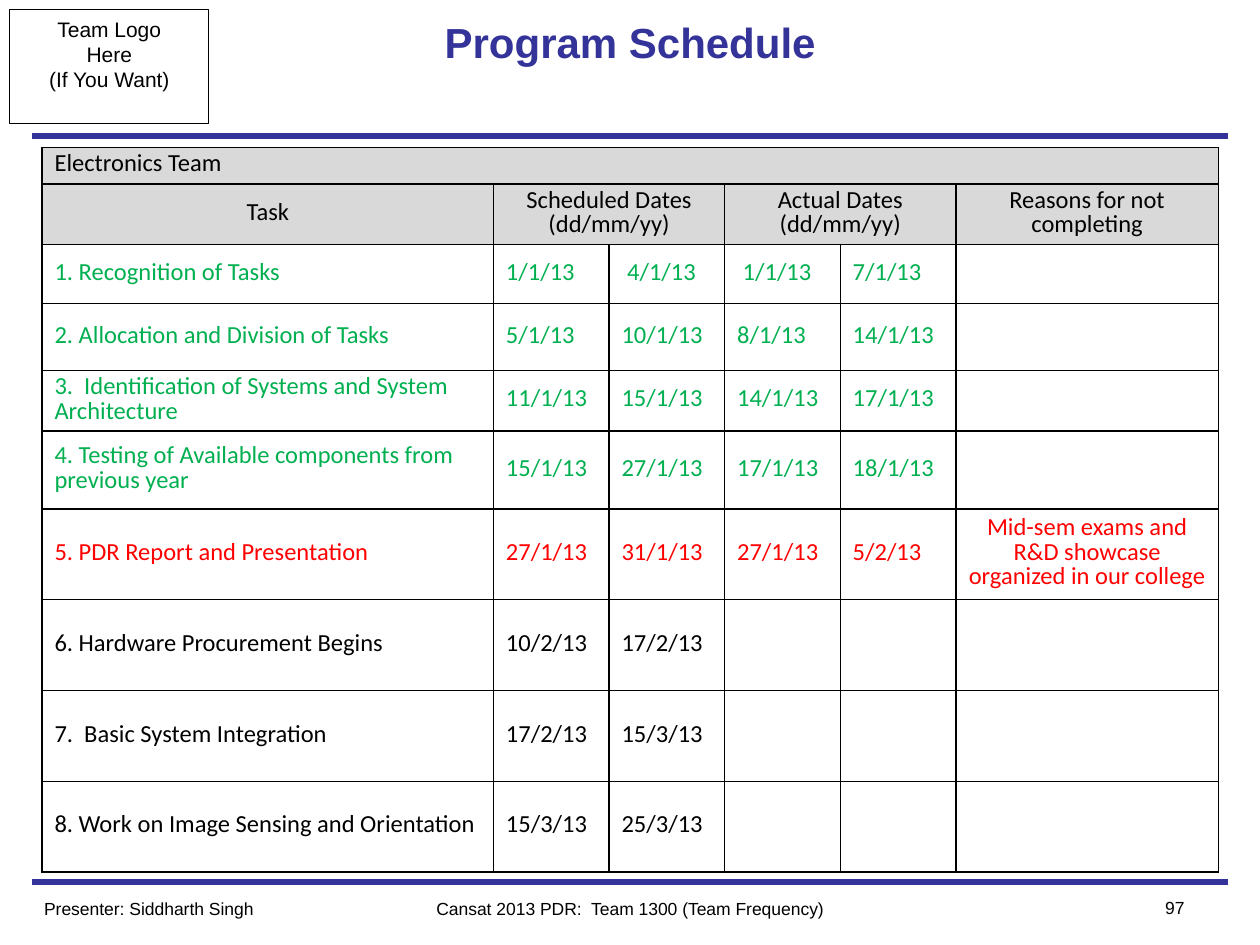
from lxml import etree
from pptx import Presentation
from pptx import util as u
from pptx.dml.color import RGBColor
from pptx.enum import shapes, text
from pptx.oxml import ns

COLORS = {"navy": "333399", "black": "000000", "grey": "D9D9D9",
          "green": "00B050", "red": "FF0000"}
LEFT, CENTER, RIGHT = text.PP_ALIGN.LEFT, text.PP_ALIGN.CENTER, text.PP_ALIGN.RIGHT
COLUMNS = [9.1] + [2.33] * 4 + [5.29]
ROWS = [0.74, 1.22, 1.19, 1.35, 1.22, 1.57] + [1.83] * 4
HEADINGS = [(0, 1, "Task"), (1, 2, "Scheduled Dates\n(dd/mm/yy)"),
            (3, 2, "Actual Dates\n(dd/mm/yy)"), (5, 1, "Reasons for not completing")]
TASKS = [
    ("green", "1. Recognition of Tasks", "1/1/13", " 4/1/13", " 1/1/13", "7/1/13"),
    ("green", "2. Allocation and Division of Tasks", "5/1/13", "10/1/13", "8/1/13", "14/1/13"),
    ("green", "3.  Identification of Systems and System Architecture",
     "11/1/13", "15/1/13", "14/1/13", "17/1/13"),
    ("green", "4. Testing of Available components from previous year",
     "15/1/13", "27/1/13", "17/1/13", "18/1/13"),
    ("red", "5. PDR Report and Presentation", "27/1/13", "31/1/13", "27/1/13", "5/2/13",
     "Mid-sem exams and R&D showcase organized in our college"),
    ("black", "6. Hardware Procurement Begins", "10/2/13", "17/2/13"),
    ("black", "7.  Basic System Integration", "17/2/13", "15/3/13"),
    ("black", "8. Work on Image Sensing and Orientation", "15/3/13", "25/3/13"),
]


def rgb(name):
    return RGBColor.from_string(COLORS[name])


def set_values(target, values):
    for name, value in values.items():
        setattr(target, name, value)


class Deck:
    body = {"name": "Arial", "size": u.Pt(10)}
    logo = {"name": "Arial", "size": u.Pt(12)}
    heading = {"name": "Arial", "size": u.Pt(24), "bold": True}
    grid = {"name": "Calibri", "size": u.Pt(14)}
    cell = {"margin_left": u.Cm(0.25), "margin_right": u.Cm(0.25),
            "margin_top": u.Cm(0.08), "margin_bottom": u.Cm(0.13),
            "vertical_anchor": text.MSO_ANCHOR.MIDDLE}

    def __init__(self):
        self.prs = Presentation()
        set_values(self.prs, {"slide_width": u.Cm(25.4), "slide_height": u.Cm(19.05)})
        self.s = self.prs.slides.add_slide(self.prs.slide_layouts[6])

    def add_lines(self, tf, content, font, color="black", **paragraph):
        for i, line in enumerate(content.split("\n")):
            p = tf.add_paragraph() if i else tf.paragraphs[0]
            set_values(p, paragraph)
            r = p.add_run()
            r.text = line
            set_values(r.font, font)
            r.font.color.rgb = rgb(color)

    def rule(self, y):
        sp = self.s.shapes.add_connector(
            shapes.MSO_CONNECTOR.STRAIGHT, u.Cm(0.64), u.Cm(y), u.Cm(24.76), u.Cm(y))
        sp.line.color.rgb = rgb("navy")
        sp.line.width = u.Pt(3)
        etree.SubElement(sp._element.spPr, ns.qn("a:effectLst"))

    def frame(self, box, content):
        sp = self.s.shapes.add_shape(shapes.MSO_SHAPE.RECTANGLE, *map(u.Cm, box))
        sp.shadow.inherit = False
        sp.fill.background()
        sp.line.color.rgb = rgb("black")
        sp.line.width = u.Pt(0.5)
        tf = sp.text_frame
        set_values(tf, {"word_wrap": False, "vertical_anchor": text.MSO_ANCHOR.TOP})
        self.add_lines(tf, content, self.logo, alignment=CENTER)

    def label(self, box, content, font, color="black", align=LEFT):
        tf = self.s.shapes.add_textbox(*map(u.Cm, box)).text_frame
        tf.word_wrap = True
        self.add_lines(tf, content, font, color, alignment=align)

    def border(self, cell):
        tc_pr = cell._tc.get_or_add_tcPr()
        for side in ("lnL", "lnR", "lnT", "lnB"):
            ln = etree.SubElement(tc_pr, ns.qn(f"a:{side}"), w=str(u.Pt(1)))
            fill = etree.SubElement(ln, ns.qn("a:solidFill"))
            etree.SubElement(fill, ns.qn("a:srgbClr"), val=COLORS["black"])

    def table(self, left, top, columns, rows):
        t = self.s.shapes.add_table(len(rows), len(columns), u.Cm(left), u.Cm(top),
                                    u.Cm(sum(columns)), u.Cm(sum(rows))).table
        set_values(t, {"first_row": False, "horz_banding": False})
        for column, width in zip(t.columns, columns):
            column.width = u.Cm(width)
        for row, height in zip(t.rows, rows):
            row.height = u.Cm(height)
        for cell in t.iter_cells():
            set_values(cell, self.cell)
            self.border(cell)
            cell.fill.background()
        return t

    def fill_cell(self, cell, content, color="black", align=LEFT, shade=None):
        if shade:
            cell.fill.solid()
            cell.fill.fore_color.rgb = rgb(shade)
        self.add_lines(cell.text_frame, content, self.grid, color,
                       alignment=align, line_spacing=0.82)


def main():
    deck = Deck()
    deck.rule(17.78)
    deck.rule(2.74)
    deck.frame((0.2, 0.2, 4.01, 2.29), "Team Logo\nHere\n(If You Want)")
    deck.label((4.45, 0.2, 16.51, 2.34), "Program Schedule", deck.heading, "navy", CENTER)

    t = deck.table(0.85, 2.97, COLUMNS, ROWS)
    t.cell(0, 0).merge(t.cell(0, 5))
    deck.fill_cell(t.cell(0, 0), "Electronics Team", shade="grey")
    for col, span, heading in HEADINGS:
        if span > 1:
            t.cell(1, col).merge(t.cell(1, col + span - 1))
        deck.fill_cell(t.cell(1, col), heading, align=CENTER, shade="grey")
    for row, (color, *values) in enumerate(TASKS, 2):
        for col, value in enumerate(values):
            deck.fill_cell(t.cell(row, col), value, color, CENTER if col == 5 else LEFT)

    deck.label((0.64, 17.98, 6.35, 0.69), "Presenter: Siddharth Singh", deck.body)
    deck.label((7.62, 17.98, 10.16, 0.69), "Cansat 2013 PDR:  Team 1300 (Team Frequency)",
               deck.body, align=CENTER)
    deck.label((22.23, 17.95, 1.9, 0.69), "97", deck.body, align=RIGHT)
    deck.prs.save("out.pptx")


if __name__ == "__main__":
    main()
